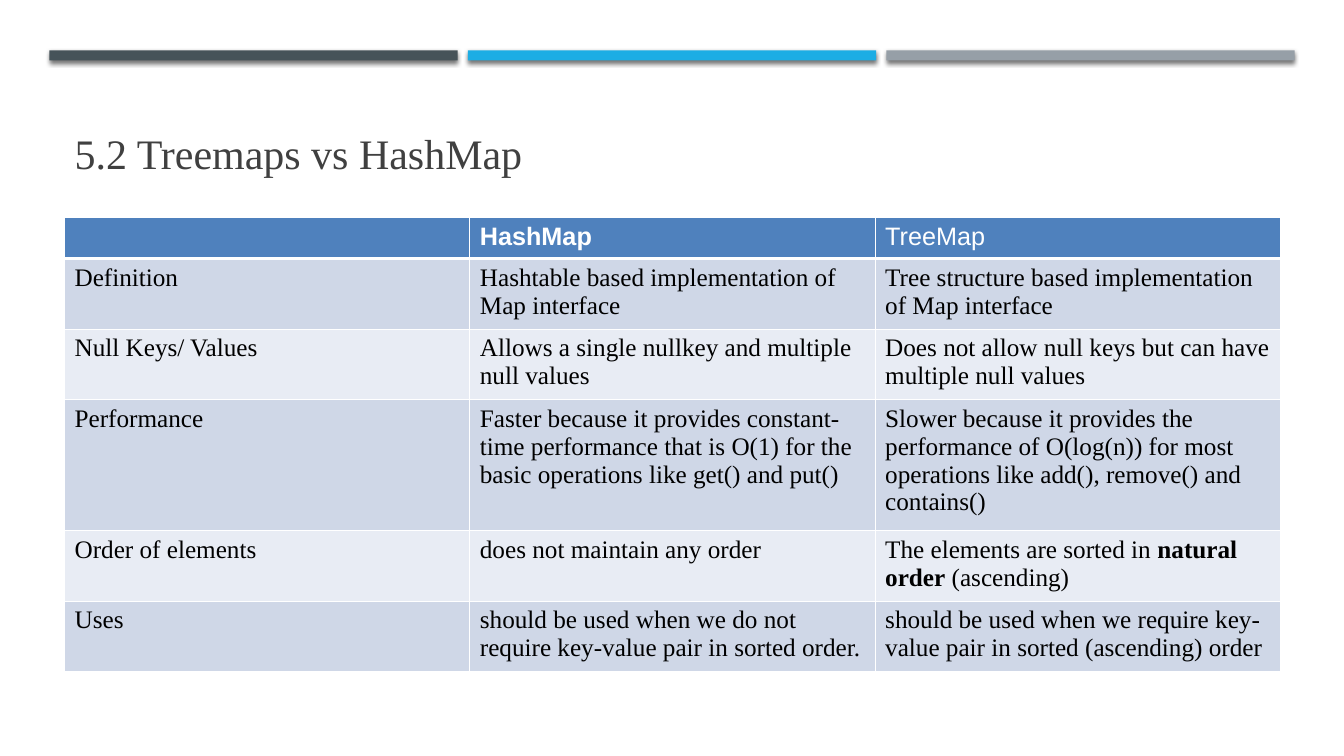
from lxml import etree
from pptx import Presentation
from pptx.dml.color import RGBColor
from pptx.enum.shapes import MSO_SHAPE
from pptx.enum.text import MSO_ANCHOR, MSO_AUTO_SIZE, PP_ALIGN
from pptx.oxml import parse_xml
from pptx.util import Inches, Pt

RECTANGLE = MSO_SHAPE.RECTANGLE
BOTTOM = MSO_ANCHOR.BOTTOM
NO_AUTOFIT = MSO_AUTO_SIZE.NONE
LEFT = PP_ALIGN.LEFT
DRAWING = "http://schemas.openxmlformats.org/drawingml/2006/main"

SERIF, SANS = "Times New Roman", "Arial"
WHITE, BLACK, TITLE_GREY = "FFFFFF", "000000", "404040"
BAR_COLOURS = ["465359", "1CADE4", "969FA7"]
HEADER_FILL, BAND_FILLS = "4F81BD", ["CFD7E7", "E8ECF4"]

# Each cell is a list of (text, bold) spans
HEADER = [[], [("HashMap", True)], [("TreeMap", False)]]
COMPARISON = [
    ["Definition",
     "Hashtable based implementation of Map interface",
     "Tree structure based implementation of Map interface"],
    ["Null Keys/ Values",
     "Allows a single nullkey and multiple null values",
     "Does not allow null keys but can have multiple null values"],
    ["Performance",
     "Faster because it provides constant-time performance that is O(1) "
     "for the basic operations like get() and put()",
     "Slower because it provides the performance of O(log(n)) for most "
     "operations like add(), remove() and contains()"],
    ["Order of elements",
     "does not maintain any order",
     [("The elements are sorted in ", False), ("natural order", True),
      (" (ascending)", False)]],
    ["Uses",
     "should be used when we do not require key-value pair in sorted order.",
     "should be used when we require key-value pair in sorted (ascending) order"],
]
ROW_HEIGHTS = [0.4, 0.7, 0.7, 1.3, 0.7, 0.7]


def colour(code):
    return RGBColor.from_string(code)


def add_span(para, text, font, size, code, bold=False):
    span = para.add_run()
    span.text = text
    span.font.name = font
    span.font.size = Pt(size)
    span.font.bold = bold
    span.font.color.rgb = colour(code)


def add_shadow(shape):
    shape.shadow.inherit = False
    effects = shape._element.spPr.find(f"{{{DRAWING}}}effectLst")
    effects.append(parse_xml(
        f'<a:outerShdw xmlns:a="{DRAWING}" blurRad="{Pt(3)}" dist="{Pt(2)}" '
        'dir="5400000" rotWithShape="0"><a:srgbClr val="000000">'
        '<a:alpha val="55000"/></a:srgbClr></a:outerShdw>'))


def set_borders(cell, bottom_width):
    properties = cell._tc.get_or_add_tcPr()
    for side in ("L", "R", "T", "B"):
        width = bottom_width if side == "B" else 1
        line = etree.SubElement(properties, f"{{{DRAWING}}}ln{side}", w=str(Pt(width)))
        fill = etree.SubElement(line, f"{{{DRAWING}}}solidFill")
        etree.SubElement(fill, f"{{{DRAWING}}}srgbClr", val=WHITE)


def add_bars(page, left, top, width, height, gap=0.1):
    bar_width = (width - gap * (len(BAR_COLOURS) - 1)) / len(BAR_COLOURS)
    for index, code in enumerate(BAR_COLOURS):
        bar = page.shapes.add_shape(
            RECTANGLE, Inches(left + index * (bar_width + gap)), Inches(top),
            Inches(bar_width), Inches(height))
        bar.fill.solid()
        bar.fill.fore_color.rgb = colour(code)
        bar.line.fill.background()
        add_shadow(bar)


def add_title(page, left, top, width, height):
    title = page.shapes.title
    title.left, title.top = Inches(left), Inches(top)
    title.width, title.height = Inches(width), Inches(height)
    frame = title.text_frame
    frame.auto_size = NO_AUTOFIT
    frame.vertical_anchor = BOTTOM
    para = frame.paragraphs[0]
    para.alignment = LEFT
    add_span(para, "5.2 Treemaps vs HashMap", SERIF, 30, TITLE_GREY)


def add_comparison(page, left, top, width):
    rows = [HEADER] + COMPARISON
    table = page.shapes.add_table(
        len(rows), len(HEADER), Inches(left), Inches(top),
        Inches(width), Inches(sum(ROW_HEIGHTS))).table
    for row, height in zip(table.rows, ROW_HEIGHTS):
        row.height = Inches(height)
    for row_index, contents in enumerate(rows):
        is_header = row_index == 0
        font, code = (SANS, WHITE) if is_header else (SERIF, BLACK)
        fill = HEADER_FILL if is_header else BAND_FILLS[(row_index - 1) % 2]
        for column_index, content in enumerate(contents):
            cell = table.cell(row_index, column_index)
            set_borders(cell, 3 if is_header else 1)
            cell.fill.solid()
            cell.fill.fore_color.rgb = colour(fill)
            spans = [(content, False)] if isinstance(content, str) else content
            for text, bold in spans:
                add_span(cell.text_frame.paragraphs[0], text, font, 18, code, bold)


def main():
    deck = Presentation()
    deck.slide_width, deck.slide_height = Inches(13.33), Inches(7.5)
    page = deck.slides.add_slide(deck.slide_layouts[5])  # title only
    add_bars(page, 0.49, 0.5, 12.35, 0.1)
    add_title(page, 0.64, 0.52, 12.06, 1.3)
    add_comparison(page, 0.64, 2.16, 12.06)
    deck.save("out.pptx")


if __name__ == "__main__":
    main()
